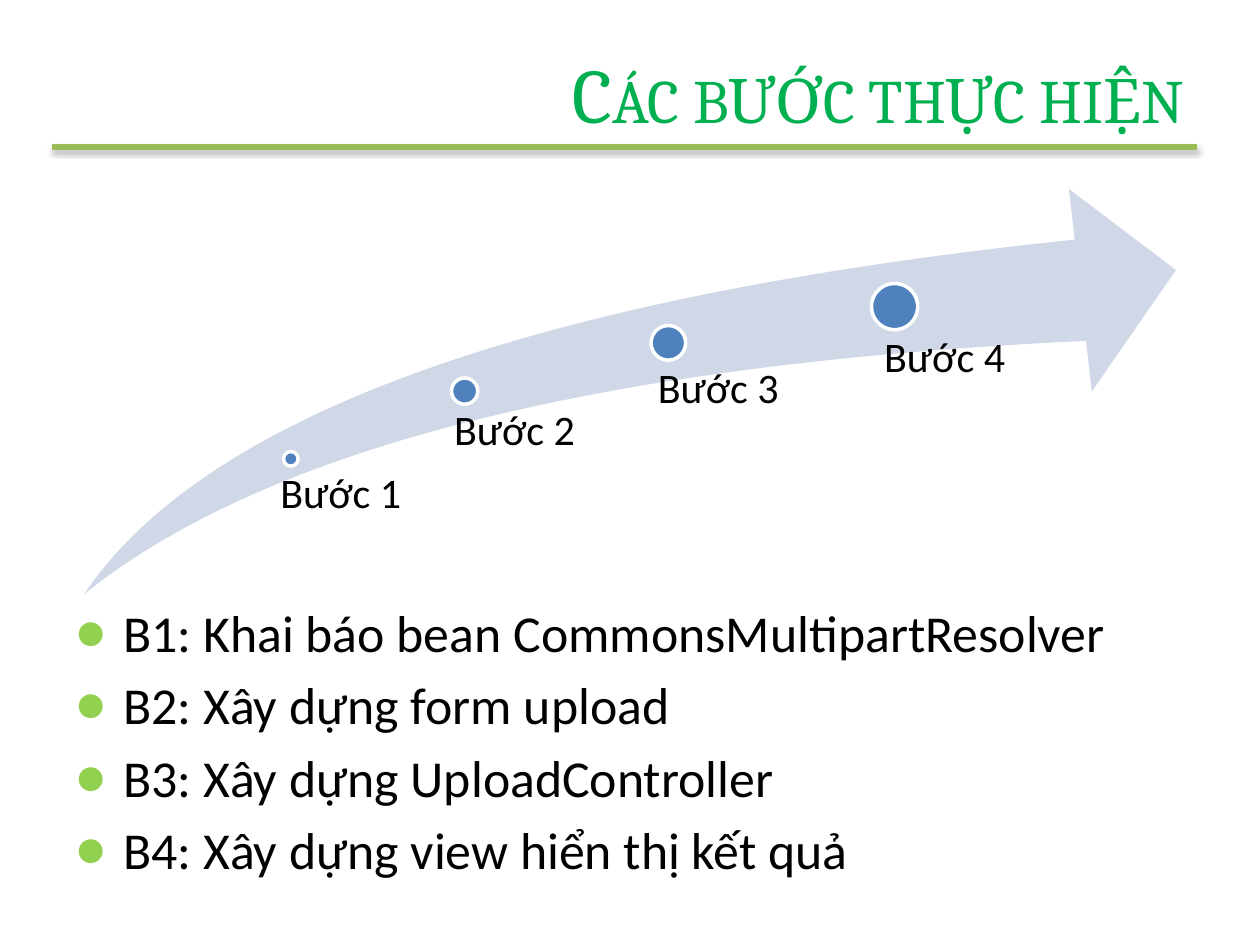
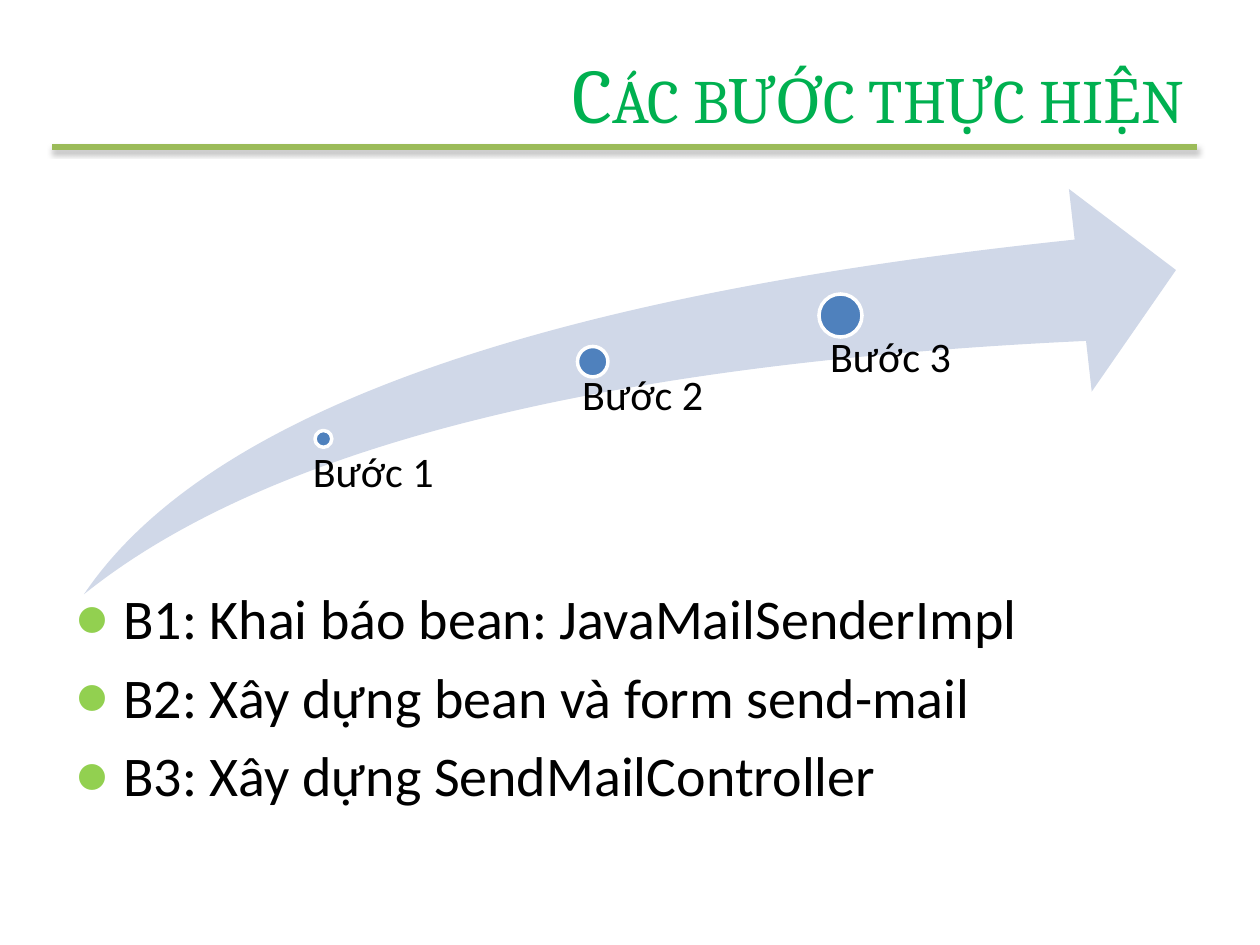
from dataclasses import dataclass

from lxml import etree
from pptx import Presentation
from pptx import util as u
from pptx.dml.color import RGBColor
from pptx.enum import shapes, text
from pptx.oxml import parse_xml
from pptx.oxml.ns import nsdecls, qn

# Shared style: a grid of 120 columns by 90 rows
SLIDE_WIDTH, SLIDE_HEIGHT = u.Inches(10), u.Inches(7.5)
COLUMNS, ROWS = 120, 90
COLORS = {
    "title": "00B050",
    "rule": "9BBB59",
    "arrow": "D0D8E8",
    "dot": "4F81BD",
    "outline": "FFFFFF",
    "bullet": "92D050",
    "text": "000000",
}
TITLE_FONT, BODY_FONT = "Cambria", "Calibri"
TITLE = "Các bước thực hiện"
TITLE_BOX = (17.4, 3.6, 96.6, 10.4)
RULE = (5, 14, 114, 14)
ARROW_BOX = (8, 18, 104, 38.6)
BULLET_INDENT = u.Inches(0.38)


@dataclass
class Step:
    """A dot on the arrow, with its label one column to the left of the dot."""
    column: float
    row: float
    diameter: float
    label_row: float
    label_width: float
    label_height: float


@dataclass
class StepsSlide:
    steps: list[Step]
    bullets: list[str]
    bullet_size: float
    bullet_box: tuple[float, float, float, float]


SLIDES = [
    StepsSlide(
        steps=[
            Step(27, 43, 1.4, 45, 15.7, 6.1),
            Step(43, 36, 2.5, 39, 13, 6.4),
            Step(62, 31, 3.3, 35, 15.6, 6.6),
            Step(83, 27, 4.4, 32, 18.6, 7.6),
        ],
        bullets=[
            "B1: Khai báo bean CommonsMultipartResolver",
            "B2: Xây dựng form upload",
            "B3: Xây dựng UploadController",
            "B4: Xây dựng view hiển thị kết quả",
        ],
        bullet_size=29.6,
        bullet_box=(6, 56.6, 108, 29.4),
    ),
    StepsSlide(
        steps=[
            Step(30, 41, 1.6, 43, 25.9, 11.2),
            Step(55, 33, 2.9, 35.6, 26, 21),
            Step(78, 28, 4.1, 32, 34.7, 11.5),
        ],
        bullets=[
            "B1: Khai báo bean: JavaMailSenderImpl",
            "B2: Xây dựng bean và form send-mail",
            "B3: Xây dựng SendMailController",
        ],
        bullet_size=32,
        bullet_box=(6, 55, 108, 25.4),
    ),
]


def across(columns: float) -> int:
    return round(SLIDE_WIDTH * columns / COLUMNS)


def down(rows: float) -> int:
    return round(SLIDE_HEIGHT * rows / ROWS)


def grid_box(left: float, top: float, width: float, height: float) -> tuple[int, ...]:
    return across(left), down(top), across(width), down(height)


def color(name: str) -> RGBColor:
    return RGBColor.from_string(COLORS[name])


def add_run(paragraph, words: str, size: float, font: str, color_name: str):
    run = paragraph.add_run()
    run.text = words
    run.font.size = u.Pt(size)
    run.font.name = font
    run.font.color.rgb = color(color_name)
    return run


def add_title(slide) -> None:
    title = slide.shapes.title
    title.left, title.top, title.width, title.height = grid_box(*TITLE_BOX)
    frame = title.text_frame
    frame.auto_size = text.MSO_AUTO_SIZE.NONE
    frame.vertical_anchor = text.MSO_ANCHOR.MIDDLE
    paragraph = frame.paragraphs[0]
    paragraph.alignment = text.PP_ALIGN.RIGHT
    run = add_run(paragraph, TITLE, 44, TITLE_FONT, "title")
    run.font._element.set("cap", "small")


def add_rule(slide) -> None:
    left, top, right, bottom = RULE
    rule = slide.shapes.add_connector(
        shapes.MSO_CONNECTOR.STRAIGHT, across(left), down(top), across(right), down(bottom))
    rule.line.color.rgb = color("rule")
    rule.line.width = u.Pt(3)
    # Soft shadow straight below the rule
    rule._element.spPr.append(parse_xml(
        f'<a:effectLst {nsdecls("a")}>'
        f'<a:outerShdw blurRad="{u.Pt(3.1)}" dist="{u.Pt(1.8)}" dir="5400000" rotWithShape="0">'
        '<a:srgbClr val="000000"><a:alpha val="35000"/></a:srgbClr>'
        '</a:outerShdw></a:effectLst>'))


def add_filled_shape(slide, kind, box: tuple[int, ...], fill: str):
    shape = slide.shapes.add_shape(kind, *box)
    shape.shadow.inherit = False
    shape.fill.solid()
    shape.fill.fore_color.rgb = color(fill)
    shape.line.fill.background()
    return shape


def add_arrow(slide) -> None:
    arrow = add_filled_shape(
        slide, shapes.MSO_SHAPE.SWOOSH_ARROW, grid_box(*ARROW_BOX), "arrow")
    arrow.adjustments[0] = arrow.adjustments[1] = 0.25


def add_step(slide, number: int, step: Step) -> None:
    dot = add_filled_shape(
        slide, shapes.MSO_SHAPE.OVAL,
        grid_box(step.column, step.row, step.diameter, step.diameter), "dot")
    dot.line.color.rgb = color("outline")
    dot.line.width = u.Pt(2)

    label = slide.shapes.add_textbox(
        *grid_box(step.column - 1, step.label_row, step.label_width, step.label_height))
    frame = label.text_frame
    frame.word_wrap = True
    frame.margin_left = across(step.diameter / 2)
    frame.margin_top = frame.margin_right = frame.margin_bottom = 0
    paragraph = frame.paragraphs[0]
    paragraph.line_spacing = 0.9
    add_run(paragraph, f"Bước {number}", 24, BODY_FONT, "text")


def format_bullet(paragraph) -> None:
    properties = paragraph._p.get_or_add_pPr()
    properties.set("marL", str(BULLET_INDENT))
    properties.set("indent", str(-BULLET_INDENT))
    space = etree.SubElement(properties, qn("a:spcBef"))
    etree.SubElement(space, qn("a:spcPct"), val="20000")
    bullet_color = etree.SubElement(properties, qn("a:buClr"))
    etree.SubElement(bullet_color, qn("a:srgbClr"), val=COLORS["bullet"])
    etree.SubElement(properties, qn("a:buFont"), typeface=BODY_FONT)
    etree.SubElement(properties, qn("a:buChar"), char="●")


def add_bullets(slide, content: StepsSlide) -> None:
    frame = slide.shapes.add_textbox(*grid_box(*content.bullet_box)).text_frame
    frame.word_wrap = True
    for index, words in enumerate(content.bullets):
        paragraph = frame.add_paragraph() if index else frame.paragraphs[0]
        format_bullet(paragraph)
        add_run(paragraph, words, content.bullet_size, BODY_FONT, "text")


def add_steps_slide(presentation, content: StepsSlide) -> None:
    slide = presentation.slides.add_slide(presentation.slide_layouts.get_by_name("Title Only"))
    # Heading
    add_rule(slide)
    add_title(slide)
    # List and rising arrow
    add_bullets(slide, content)
    add_arrow(slide)
    for number, step in enumerate(content.steps, start=1):
        add_step(slide, number, step)


def main() -> None:
    presentation = Presentation()
    presentation.slide_width, presentation.slide_height = SLIDE_WIDTH, SLIDE_HEIGHT
    for content in SLIDES:
        add_steps_slide(presentation, content)
    presentation.save("out.pptx")


if __name__ == "__main__":
    main()
